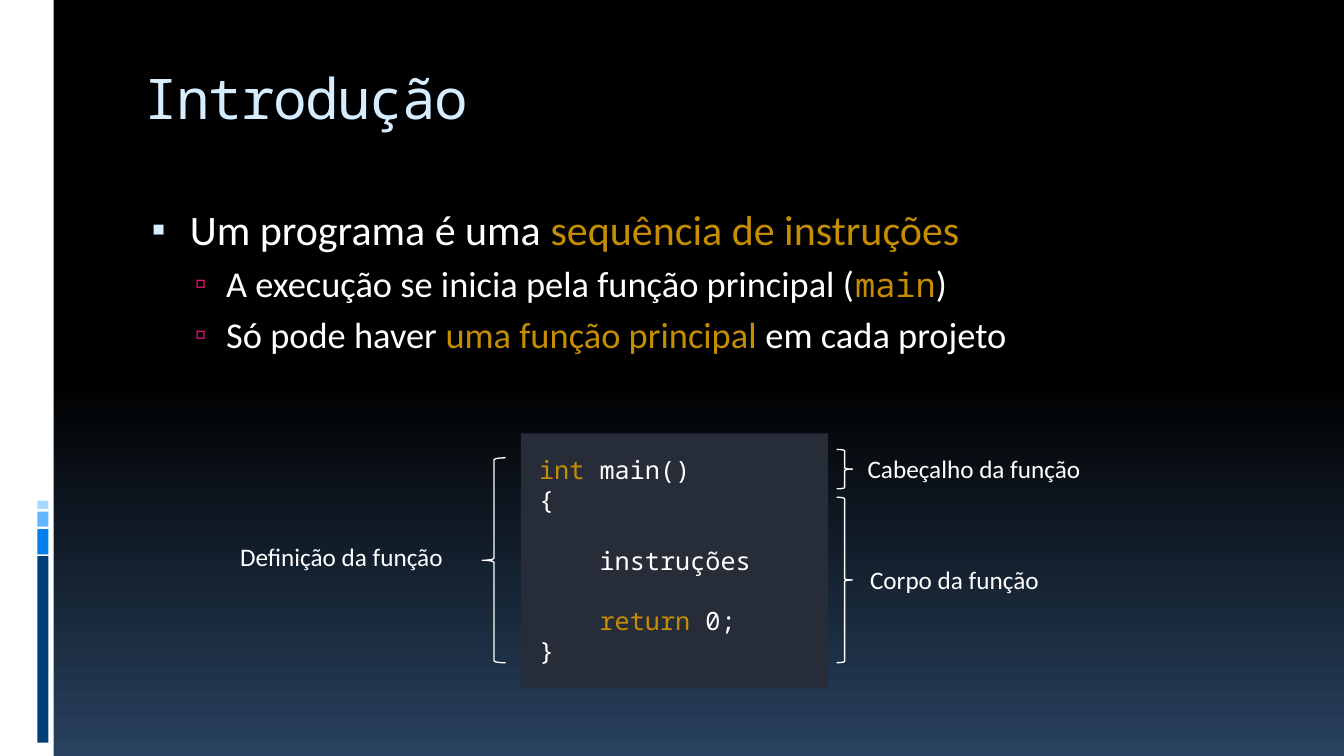
import pptx
import pptx.util
import pptx.dml.color
import pptx.enum.shapes
import pptx.enum.text
import pptx.oxml

COLORS = {
    "white": "FFFFFF", "black": "000000", "dusk": "28415E", "title": "D6ECFF",
    "gold": "C58D01", "pink": "EA157A", "panel": "272D38",
    "navy": "003F75", "blue": "007EEB", "sky": "61B6FF", "pale": "A7D6FF",
}
SANS, MONO = "Calibri", "Noto Sans Mono"
COLUMNS, ROWS = 160, 90
SHAPES = pptx.enum.shapes.MSO_SHAPE
LEFT = pptx.enum.text.PP_ALIGN.LEFT
TOP = pptx.enum.text.MSO_ANCHOR.TOP
NO_FIT = pptx.enum.text.MSO_AUTO_SIZE.NONE
RGB = pptx.dml.color.RGBColor.from_string

deck = pptx.Presentation()
deck.slide_width = pptx.util.Inches(13.33)
deck.slide_height = pptx.util.Inches(7.5)
page = deck.slides.add_slide(deck.slide_layouts[1])


def place(left, top, width, height):
    column, row = deck.slide_width / COLUMNS, deck.slide_height / ROWS
    return [int(n) for n in (left * column, top * row, width * column, height * row)]


def add_span(para, text, size=18, color="white", font=SANS):
    span = para.add_run()
    span.text = text
    span.font.size = pptx.util.Pt(size)
    span.font.name = font
    span.font.color.rgb = RGB(COLORS[color])
    return span


backdrop = page.background.fill
backdrop.gradient()
backdrop.gradient_angle = 270
for stop, position, color in zip(backdrop.gradient_stops, (0.5, 1), ("black", "dusk")):
    stop.position = position
    stop.color.rgb = RGB(COLORS[color])

panels = [
    (0, 0, 6.4, 90, "white"),
    (4.45, 66.2, 1.3, 22.2, "navy"),
    (4.45, 63, 1.3, 3, "blue"),
    (4.45, 60.9, 1.3, 1.8, "sky"),
    (4.45, 59.6, 1.3, 1, "pale"),
    (62, 51.6, 36.6, 30.3, "panel"),
]
for *area, color in panels:
    panel = page.shapes.add_shape(SHAPES.RECTANGLE, *place(*area))
    panel.shadow.inherit = False
    panel.fill.solid()
    panel.fill.fore_color.rgb = RGB(COLORS[color])
    panel.line.fill.background()

title, body = page.shapes.title, page.placeholders[1]
for box, area in ((title, (16, 6.7, 136, 12)), (body, (16, 23.4, 136, 60))):
    box.left, box.top, box.width, box.height = place(*area)
    box.text_frame.auto_size = NO_FIT
    box.text_frame.vertical_anchor = TOP
    box.text_frame.margin_top = pptx.util.Inches(0.07)

heading = title.text_frame.paragraphs[0]
heading.alignment = LEFT
span = add_span(heading, "Introdução", size=40, color="title", font=MONO)
span.font._element.set("spc", "-100")

levels = [
    {"margin": 0.45, "indent": -0.38, "mark": "▪", "color": "title", "share": 95, "before": 0},
    {"margin": 0.81, "indent": -0.31, "mark": "▫", "color": "pink", "share": 90, "before": 5.2},
]
bullets = [
    (0, [("Um programa é uma ", 30, "white", SANS),
         ("sequência de instruções", 30, "gold", SANS)]),
    (1, [("A execução se inicia pela função principal (", 26, "white", SANS),
         ("main", 24, "gold", MONO),
         (")", 26, "white", SANS)]),
    (1, [("Só pode haver ", 26, "white", SANS),
         ("uma função principal", 26, "gold", SANS),
         (" em cada projeto", 26, "white", SANS)]),
]
namespace = 'xmlns:a="http://schemas.openxmlformats.org/drawingml/2006/main"'
for index, (level, spans) in enumerate(bullets):
    para = body.text_frame.add_paragraph() if index else body.text_frame.paragraphs[0]
    style = levels[level]
    para.level = level
    properties = para._p.get_or_add_pPr()
    properties.set("marL", str(pptx.util.Inches(style["margin"])))
    properties.set("indent", str(pptx.util.Inches(style["indent"])))
    for element in (
        f'<a:buClr {namespace}><a:srgbClr val="{COLORS[style["color"]]}"/></a:buClr>',
        f'<a:buSzPct {namespace} val="{style["share"] * 1000}"/>',
        f'<a:buChar {namespace} char="{style["mark"]}"/>',
    ):
        properties.append(pptx.oxml.parse_xml(element))
    para.space_before = pptx.util.Pt(style["before"])
    for text, size, color, font in spans:
        add_span(para, text, size=size, color=color, font=font)

code = [
    (0, [("int", "gold"), (" main()", "white")]),
    (0, [("{", "white")]),
    (1, [("    instruções", "white")]),
    (1, [("    return", "gold"), (" 0;", "white")]),
    (0, [("}", "white")]),
]
code_line = 21.6
listing = page.shapes.add_textbox(*place(63, 53.5, 39.4, 26.6)).text_frame
listing.word_wrap = True
for index, (gap_lines, spans) in enumerate(code):
    para = listing.add_paragraph() if index else listing.paragraphs[0]
    if gap_lines:
        para.space_before = pptx.util.Pt(gap_lines * code_line)
    for text, color in spans:
        add_span(para, text, color=color, font=MONO)

notes = [
    ("Definição da função", (27.4, 63.9, 27.2, 4.8), SHAPES.LEFT_BRACE, (57.4, 54.5, 2.8, 24.4)),
    ("Cabeçalho da função", (102.1, 53.4, 28.6, 4.8), SHAPES.RIGHT_BRACE, (99.6, 53.5, 1.9, 4.7)),
    ("Corpo da função", (102.4, 66.6, 22.9, 4.8), SHAPES.RIGHT_BRACE, (99.6, 59.2, 1.9, 19.7)),
]
for text, label_area, brace_kind, brace_area in notes:
    brace = page.shapes.add_shape(brace_kind, *place(*brace_area))
    brace.shadow.inherit = False
    brace.fill.background()
    brace.line.color.rgb = RGB(COLORS["white"])
    brace.line.width = pptx.util.Pt(0.94)
    label = page.shapes.add_textbox(*place(*label_area)).text_frame
    label.word_wrap = False
    add_span(label.paragraphs[0], text)

deck.save("out.pptx")
